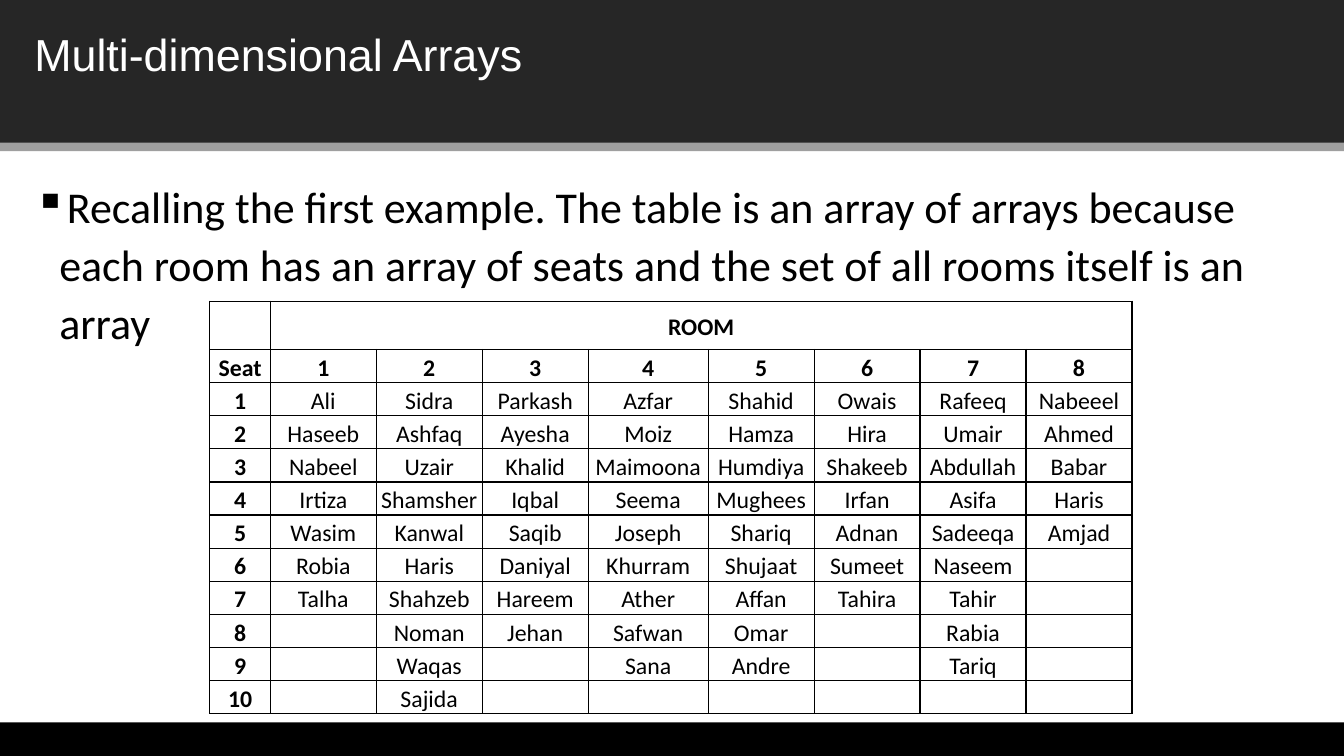
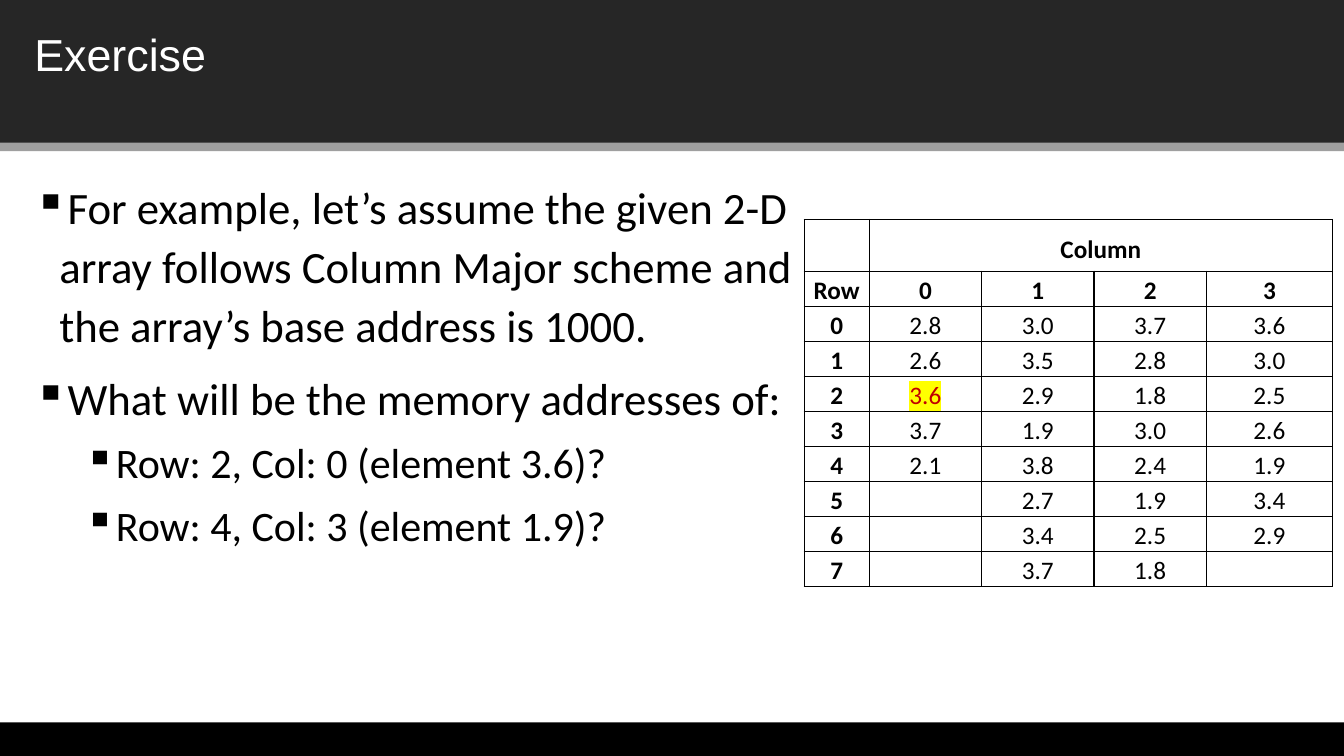
from dataclasses import dataclass
from typing import NamedTuple

from pptx import Presentation
from pptx.dml.color import RGBColor
from pptx.enum.shapes import MSO_SHAPE
from pptx.enum.text import MSO_ANCHOR, MSO_AUTO_SIZE, PP_ALIGN
from pptx.oxml.ns import qn
from pptx.oxml.xmlchemy import OxmlElement
from pptx.util import Pt

RECTANGLE = MSO_SHAPE.RECTANGLE
TOP, BOTTOM = MSO_ANCHOR.TOP, MSO_ANCHOR.BOTTOM
LEFT, CENTER = PP_ALIGN.LEFT, PP_ALIGN.CENTER
NO_AUTOFIT = MSO_AUTO_SIZE.NONE
TITLE_ONLY = 5


@dataclass(frozen=True)
class Theme:
    header: str = "262626"
    accent: str = "9F9F9F"
    black: str = "000000"
    white: str = "FFFFFF"
    answer: str = "C00000"
    highlight: str = "FFFF00"
    title_font: str = "Arial"
    body_font: str = "Calibri"
    title_size: float = 32
    body_size: float = 32
    tight_body_size: float = 31.4
    sub_size: float = 30
    room_size: float = 17
    matrix_size: float = 18
    border: float = 1


THEME = Theme()


class Frame(NamedTuple):
    left: float
    top: float
    width: float
    height: float


class Bullet(NamedTuple):
    text: str
    size: float = THEME.body_size
    level: int = 0


@dataclass(frozen=True)
class Grid:
    """A table with one heading spanning every column but the first."""
    left: float
    top: float
    columns: tuple[float, ...]
    heading_height: float
    row_height: float
    heading: str
    heading_insets: tuple[float, float]
    rows: tuple[tuple[str, ...], ...]
    size: float
    marked: tuple[int, int] | None = None


SLIDE_WIDTH, SLIDE_HEIGHT = 960, 540
HEADER_BAND = Frame(-0.7, -0.7, 960.7, 103)
ACCENT_BAND = Frame(-0.7, 102, 960.7, 6)
FOOTER_BAND = Frame(-1.4, 516, 961.4, 24)
TITLE_FRAME = Frame(17.3, 15.8, 924.5, 46.1)
WIDE_BODY = Frame(17.3, 121, 924.5, 94.3)
HALF_BODY = Frame(17.3, 121, 557.3, 389.5)

ROOM_GRID = Grid(
    left=149.9, top=215.1,
    columns=(43.2, *[75.7] * 3, 85.7, *[75.7] * 4),
    heading_height=34.6, row_height=23.65,
    heading="ROOM", heading_insets=(10.8, 5.76), size=THEME.room_size,
    rows=(
        ("Seat", "1", "2", "3", "4", "5", "6", "7", "8"),
        ("1", "Ali", "Sidra", "Parkash", "Azfar", "Shahid", "Owais", "Rafeeq", "Nabeeel"),
        ("2", "Haseeb", "Ashfaq", "Ayesha", "Moiz", "Hamza", "Hira", "Umair", "Ahmed"),
        ("3", "Nabeel", "Uzair", "Khalid", "Maimoona", "Humdiya", "Shakeeb", "Abdullah", "Babar"),
        ("4", "Irtiza", "Shamsher", "Iqbal", "Seema", "Mughees", "Irfan", "Asifa", "Haris"),
        ("5", "Wasim", "Kanwal", "Saqib", "Joseph", "Shariq", "Adnan", "Sadeeqa", "Amjad"),
        ("6", "Robia", "Haris", "Daniyal", "Khurram", "Shujaat", "Sumeet", "Naseem", ""),
        ("7", "Talha", "Shahzeb", "Hareem", "Ather", "Affan", "Tahira", "Tahir", ""),
        ("8", "", "Noman", "Jehan", "Safwan", "Omar", "", "Rabia", ""),
        ("9", "", "Waqas", "", "Sana", "Andre", "", "Tariq", ""),
        ("10", "", "Sajida", "", "", "", "", "", ""),
    ),
)

MATRIX_GRID = Grid(
    left=574.5, top=156.8,
    columns=(46.4, *[80.3] * 3, 90),
    heading_height=36.9, row_height=25.04,
    heading="Column", heading_insets=(8.64, 4.32), size=THEME.matrix_size,
    marked=(3, 1),
    rows=(
        ("Row", "0", "1", "2", "3"),
        ("0", "2.8", "3.0", "3.7", "3.6"),
        ("1", "2.6", "3.5", "2.8", "3.0"),
        ("2", "3.6", "2.9", "1.8", "2.5"),
        ("3", "3.7", "1.9", "3.0", "2.6"),
        ("4", "2.1", "3.8", "2.4", "1.9"),
        ("5", "", "2.7", "1.9", "3.4"),
        ("6", "", "3.4", "2.5", "2.9"),
        ("7", "", "3.7", "1.8", ""),
    ),
)


def points(frame: Frame) -> list[Pt]:
    return [Pt(length) for length in frame]


def add_solid(parent, color: str) -> None:
    fill = OxmlElement("a:solidFill")
    value = OxmlElement("a:srgbClr")
    value.set("val", color)
    fill.append(value)
    parent.append(fill)


def add_span(para, text: str, size: float, color: str = THEME.black,
             font: str = THEME.body_font, bold: bool = False,
             highlight: str | None = None) -> None:
    span = para.add_run()
    span.text = text
    span.font.size = Pt(size)
    span.font.bold = bold
    span.font.color.rgb = RGBColor.from_string(color)
    if highlight:
        mark = OxmlElement("a:highlight")
        value = OxmlElement("a:srgbClr")
        value.set("val", highlight)
        mark.append(value)
        span.font.fill  # the highlight follows the fill and precedes the typeface
        span._r.get_or_add_rPr().append(mark)
    span.font.name = font


def add_band(page, frame: Frame, color: str):
    band = page.shapes.add_shape(RECTANGLE, *points(frame))
    band.shadow.inherit = False
    band.fill.solid()
    band.fill.fore_color.rgb = RGBColor.from_string(color)
    band.line.fill.background()
    return band


def add_page(deck, title_text: str):
    """Add a slide with the shared bands and title."""
    page = deck.slides.add_slide(deck.slide_layouts[TITLE_ONLY])
    title = page.shapes.title
    title.left, title.top, title.width, title.height = points(TITLE_FRAME)
    title.text_frame.auto_size = NO_AUTOFIT
    title.text_frame.vertical_anchor = TOP
    para = title.text_frame.paragraphs[0]
    para.alignment = LEFT
    add_span(para, title_text, THEME.title_size, THEME.white, THEME.title_font)

    header = add_band(page, HEADER_BAND, THEME.header)
    title.element.addprevious(header.element)
    add_band(page, ACCENT_BAND, THEME.accent)
    add_band(page, FOOTER_BAND, THEME.black)
    return page


def add_bullets(page, frame: Frame, bullets: list[Bullet]) -> None:
    box = page.shapes.add_textbox(*points(frame)).text_frame
    box.word_wrap = True
    for index, bullet in enumerate(bullets):
        para = box.add_paragraph() if index else box.paragraphs[0]
        para.level = bullet.level
        properties = para._p.get_or_add_pPr()
        properties.set("marL", str(Pt(18 + 36 * bullet.level)))
        properties.set("indent", str(Pt(-18)))
        symbol = OxmlElement("a:buChar")
        symbol.set("char", "▪")
        properties.append(symbol)
        para.line_spacing = 1.1
        if index:
            para.space_before = Pt(5 if bullet.level else 10)
        add_span(para, bullet.text, bullet.size)


def format_cell(cell, insets: tuple[float, float, float, float]) -> None:
    cell.margin_left, cell.margin_top, cell.margin_right, cell.margin_bottom = map(Pt, insets)
    cell.vertical_anchor = BOTTOM
    properties = cell._tc.get_or_add_tcPr()
    for side in ("a:lnL", "a:lnR", "a:lnT", "a:lnB"):
        line = OxmlElement(side)
        line.set("w", str(Pt(THEME.border)))
        add_solid(line, THEME.black)
        properties.append(line)
    cell.fill.background()


def fill_cell(cell, text: str, size: float, bold: bool, marked: bool = False) -> None:
    para = cell.text_frame.paragraphs[0]
    para.alignment = CENTER
    if not text:
        # An empty cell keeps the table's type size so its row does not grow.
        ending = para._p.find(qn("a:endParaRPr"))
        if ending is None:
            ending = OxmlElement("a:endParaRPr")
            para._p.append(ending)
        ending.set("sz", str(round(size * 100)))
    elif marked:
        add_span(para, text, size, THEME.answer, highlight=THEME.highlight)
    else:
        add_span(para, text, size, bold=bold)


def add_grid(page, grid: Grid) -> None:
    rows = (("", grid.heading, *[""] * (len(grid.columns) - 2)), *grid.rows)
    heights = [grid.heading_height, *[grid.row_height] * len(grid.rows)]
    frame = Frame(grid.left, grid.top, sum(grid.columns), sum(heights))
    table = page.shapes.add_table(len(rows), len(grid.columns), *points(frame)).table
    table.first_row = table.horz_banding = False
    for column, width in zip(table.columns, grid.columns):
        column.width = Pt(width)
    side, edge = grid.heading_insets
    for row_index, (texts, height) in enumerate(zip(rows, heights)):
        table.rows[row_index].height = Pt(height)
        for column_index, text in enumerate(texts):
            cell = table.cell(row_index, column_index)
            is_heading = row_index == 0 and column_index > 0
            format_cell(cell, (side, edge, side, edge) if is_heading else (0.72, 0.72, 0.72, 0))
            fill_cell(cell, text, grid.size,
                      bold=row_index < 2 or column_index == 0,
                      marked=(row_index - 1, column_index) == grid.marked)
    table.cell(0, 1).merge(table.cell(0, len(grid.columns) - 1))


def main() -> None:
    deck = Presentation()
    deck.slide_width, deck.slide_height = Pt(SLIDE_WIDTH), Pt(SLIDE_HEIGHT)

    arrays = add_page(deck, "Multi-dimensional Arrays")
    add_bullets(arrays, WIDE_BODY, [
        Bullet("Recalling the first example. The table is an array of arrays because each room "
               "has an array of seats and the set of all rooms itself is an array",
               THEME.tight_body_size),
    ])
    add_grid(arrays, ROOM_GRID)

    exercise = add_page(deck, "Exercise")
    add_bullets(exercise, HALF_BODY, [
        Bullet("For example, let’s assume the given 2-D array follows Column Major scheme "
               "and the array’s base address is 1000."),
        Bullet("What will be the memory addresses of:"),
        Bullet("Row: 2, Col: 0 (element 3.6)?", THEME.sub_size, level=1),
        Bullet("Row: 4, Col: 3 (element 1.9)?", THEME.sub_size, level=1),
    ])
    add_grid(exercise, MATRIX_GRID)

    deck.save("out.pptx")


if __name__ == "__main__":
    main()
